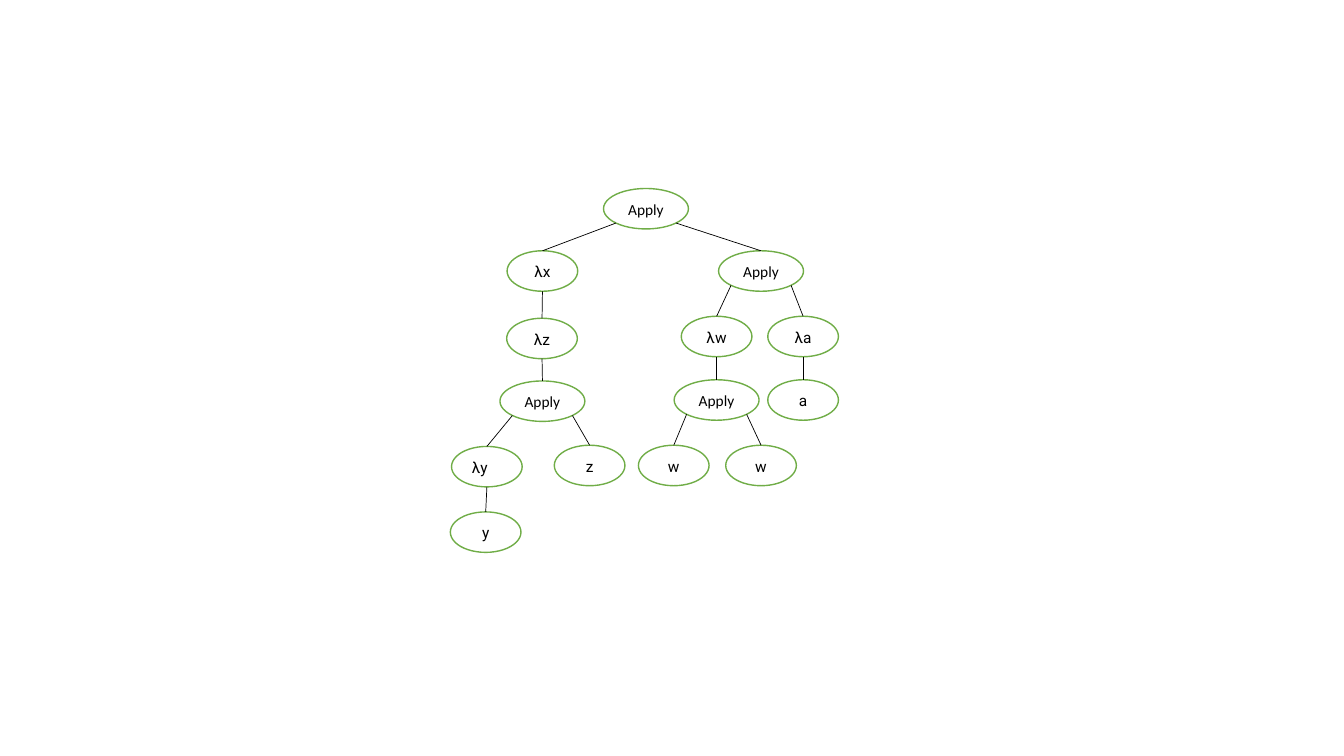
from math import sqrt
from lxml.etree import SubElement
from pptx import Presentation
from pptx.dml.color import RGBColor
from pptx.enum.shapes import MSO_CONNECTOR, MSO_SHAPE
from pptx.enum.text import MSO_ANCHOR, PP_ALIGN
from pptx.oxml.ns import qn
from pptx.util import Cm, Pt

TREE = ("Apply", 16.28, 5.26, [
    ("λx", 13.67, 6.83, [
        ("λz", 13.66, 8.53, [
            ("Apply", 13.67, 10.11, [
                ("λy", 12.27, 11.76, [("y", 12.24, 13.41, [])]),
                ("z", 14.86, 11.73, []),
            ]),
        ]),
    ]),
    ("Apply", 19.18, 6.83, [
        ("λw", 18.06, 8.48, [
            ("Apply", 18.06, 10.08, [
                ("w", 16.98, 11.73, []),
                ("w", 19.18, 11.73, []),
            ]),
        ]),
        ("λa", 20.24, 8.48, [("a", 20.24, 10.08, [])]),
    ]),
])
APPLY_W, TERM_W, NODE_H = 2.14, 1.78, 1.02
LEFT_ALIGNED = "λy"


def color(value):
    return RGBColor.from_string(value)


def node_width(label):
    return APPLY_W if label == "Apply" else TERM_W


def add_node(shapes, label, x, y):
    w = node_width(label)
    sp = shapes.add_shape(MSO_SHAPE.OVAL, Cm(x - w / 2), Cm(y - NODE_H / 2), Cm(w), Cm(NODE_H))
    sp.shadow.inherit = False
    sp.fill.solid()
    sp.fill.fore_color.rgb = color("FFFFFF")
    sp.line.color.rgb = color("70AD47")
    sp.line.width = Pt(1)
    tf = sp.text_frame
    tf.word_wrap = True
    tf.vertical_anchor = MSO_ANCHOR.MIDDLE
    p = tf.paragraphs[0]
    p.text = label
    p.alignment = PP_ALIGN.LEFT if label == LEFT_ALIGNED else PP_ALIGN.CENTER
    p.line_spacing = 1.07
    p.space_after = Pt(8)
    p.font.name = "Calibri" if label == "Apply" else "Roboto"
    p.font.size = Pt(11)
    p.font.color.rgb = color("000000")


def add_edge(shapes, x1, y1, x2, y2):
    line = shapes.add_connector(MSO_CONNECTOR.STRAIGHT, Cm(x1), Cm(y1), Cm(x2), Cm(y2))
    line.line.color.rgb = color("000000")
    line.line.width = Pt(0.5)
    SubElement(line._element.spPr, qn("a:effectLst"))


def add_tree(shapes, node):
    label, x, y, children = node
    add_node(shapes, label, x, y)
    sides = (-1, 1) if len(children) == 2 else (0,)
    for side, child in zip(sides, children):
        add_tree(shapes, child)
        reach = 1 / sqrt(2) if side else 1
        start_x = x + side * reach * node_width(label) / 2
        start_y = y + reach * NODE_H / 2
        add_edge(shapes, start_x, start_y, child[1], child[2] - NODE_H / 2)


prs = Presentation()
prs.slide_width, prs.slide_height = Cm(33.87), Cm(19.05)
s = prs.slides.add_slide(prs.slide_layouts[6])
tree = s.shapes.add_group_shape()
add_tree(tree.shapes, TREE)
prs.save("out.pptx")
